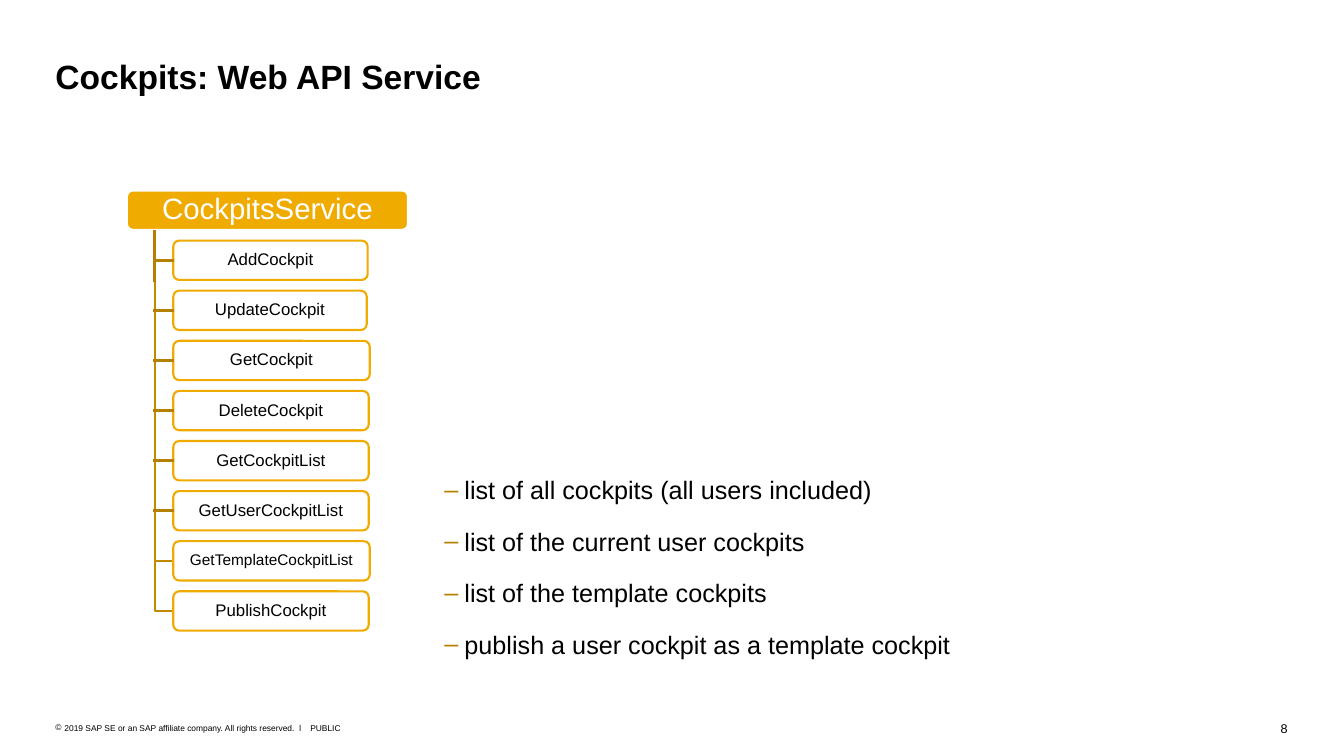
from dataclasses import dataclass

from lxml.etree import SubElement
from pptx import Presentation
from pptx.dml.color import RGBColor
from pptx.enum.shapes import MSO_CONNECTOR, MSO_SHAPE
from pptx.enum.text import MSO_ANCHOR, MSO_AUTO_SIZE, PP_ALIGN
from pptx.oxml.ns import qn
from pptx.slide import Slide
from pptx.text.text import TextFrame, _Paragraph
from pptx.util import Inches, Pt

COLORS = {"gold": "F0AB00", "dark gold": "B48000", "elbow": "C08900",
          "white": "FFFFFF", "black": "000000"}
FONT = "Arial"
WIDTH, HEIGHT = 13.34, 7.5
MARGIN = 0.55

# Tree grid: row 0 is the service, rows 1 to 8 its methods
TREE_TOP, ROW_STEP, BOX_HEIGHT = 1.89, 0.497, 0.39
SERVICE_LEFT, METHOD_LEFT, SPINE_LEFT = 1.26, 1.72, 1.54


@dataclass(frozen=True)
class TreeBox:
    label: str
    width: float
    size: float = 12
    left: float = METHOD_LEFT
    fill: str = "white"
    line: str = "gold"
    ink: str = "black"


@dataclass(frozen=True)
class Caption:
    text: str
    left: float
    top: float
    width: float
    height: float
    size: float
    align: PP_ALIGN = PP_ALIGN.LEFT
    wrap: bool = False
    bullet: str = ""


TREE = [
    TreeBox("CockpitsService", 2.79, 21, SERVICE_LEFT, "gold", "white", "white"),
    TreeBox("AddCockpit", 1.93),
    TreeBox("UpdateCockpit", 1.92),
    TreeBox("GetCockpit", 1.95),
    TreeBox("DeleteCockpit", 1.94),
    TreeBox("GetCockpitList", 1.94),
    TreeBox("GetUserCockpitList", 1.94),
    TreeBox("GetTemplateCockpitList", 1.95, 11),
    TreeBox("PublishCockpit", 1.94),
]
NOTES = [
    "list of all cockpits (all users included)",
    "list of the current user cockpits",
    "list of the template cockpits",
    "publish a user cockpit as a template cockpit",
]
FOOTER = [
    Caption("8", 12.63, 7.15, 0.15, 0.15, 9, PP_ALIGN.RIGHT),
    Caption("PUBLIC", 3.08, 7.17, 0.31, 0.1, 6),
    Caption("2019 SAP SE or an SAP affiliate company. All rights reserved.  ǀ",
            MARGIN, 7.17, 2.48, 0.1, 6, wrap=True, bullet="©"),
]


def rgb(name: str) -> RGBColor:
    return RGBColor.from_string(COLORS[name])


def row_top(row: int) -> float:
    return TREE_TOP + row * ROW_STEP


def row_middle(row: int) -> float:
    return row_top(row) + BOX_HEIGHT / 2


def set_insets(frame: TextFrame, across: float = 0, down: float = 0) -> None:
    frame.margin_left = frame.margin_right = Inches(across)
    frame.margin_top = frame.margin_bottom = Inches(down)


def add_span(para: _Paragraph, text: str, size: float, ink: str = "black",
             bold: bool = False) -> None:
    span = para.add_run()
    span.text = text
    span.font.name = FONT
    span.font.size = Pt(size)
    span.font.bold = bold
    span.font.color.rgb = rgb(ink)


def set_bullet(para: _Paragraph, mark: str, color: str, indent: float,
               hanging: float) -> None:
    props = para._p.get_or_add_pPr()
    props.set("marL", str(Inches(indent)))
    props.set("indent", str(-Inches(hanging)))
    bullet_color = SubElement(props, qn("a:buClr"))
    SubElement(bullet_color, qn("a:srgbClr")).set("val", COLORS[color])
    SubElement(props, qn("a:buFont")).set("typeface", FONT)
    SubElement(props, qn("a:buChar")).set("char", mark)


def add_frame(page: Slide, left: float, top: float, width: float,
              height: float, wrap: bool) -> TextFrame:
    box = page.shapes.add_textbox(*map(Inches, (left, top, width, height)))
    frame = box.text_frame
    frame.word_wrap = wrap
    set_insets(frame)
    return frame


def set_title(page: Slide, text: str) -> None:
    title = page.shapes.title
    title.left, title.top = Inches(MARGIN), Inches(MARGIN)
    title.width, title.height = Inches(WIDTH - 2 * MARGIN), Inches(0.4)
    frame = title.text_frame
    frame.auto_size = MSO_AUTO_SIZE.NONE
    frame.vertical_anchor = MSO_ANCHOR.TOP
    set_insets(frame)
    para = frame.paragraphs[0]
    para.alignment = PP_ALIGN.LEFT
    add_span(para, text, 24, bold=True)


def add_caption(page: Slide, item: Caption) -> None:
    frame = add_frame(page, item.left, item.top, item.width, item.height, item.wrap)
    para = frame.paragraphs[0]
    para.alignment = item.align
    if item.bullet:
        set_bullet(para, item.bullet, "black", 0.09, 0.09)
    add_span(para, item.text, item.size)


def add_notes(page: Slide) -> None:
    """List what the last four methods do, beside their boxes."""
    frame = add_frame(page, 4.22, 4.56, 5.62, 1.7, True)
    for index, note in enumerate(NOTES):
        para = frame.add_paragraph() if index else frame.paragraphs[0]
        set_bullet(para, "–", "dark gold", 0.39, 0.2)
        para.line_spacing = 1.5
        para.space_before = Pt(4.3 if index else 0)
        add_span(para, note, 18)


def add_tree_box(page: Slide, item: TreeBox, row: int) -> None:
    box = page.shapes.add_shape(
        MSO_SHAPE.ROUNDED_RECTANGLE, Inches(item.left), Inches(row_top(row)),
        Inches(item.width), Inches(BOX_HEIGHT))
    box.adjustments[0] = 0.15
    box.shadow.inherit = False
    box.fill.solid()
    box.fill.fore_color.rgb = rgb(item.fill)
    box.line.color.rgb = rgb(item.line)
    box.line.width = Pt(1.5)
    frame = box.text_frame
    frame.word_wrap = True
    frame.vertical_anchor = MSO_ANCHOR.MIDDLE
    set_insets(frame, 0.04, 0.03)
    para = frame.paragraphs[0]
    para.alignment = PP_ALIGN.CENTER
    para.line_spacing = 0.9
    add_span(para, item.label, item.size, item.ink)


def add_elbow(page: Slide, first_row: int, last_row: int) -> None:
    """Run down the spine and turn right into the last row's box."""
    left, right = Inches(SPINE_LEFT), Inches(METHOD_LEFT - 0.01)
    top, bottom = Inches(row_middle(first_row)), Inches(row_middle(last_row))
    builder = page.shapes.build_freeform(left, top)
    builder.add_line_segments([(left, bottom), (right, bottom)], close=False)
    elbow = builder.convert_to_shape()
    elbow.shadow.inherit = False
    elbow.fill.background()
    elbow.line.color.rgb = rgb("elbow")
    elbow.line.width = Pt(1.5)


def add_line(page: Slide, x1: float, y1: float, x2: float, y2: float) -> None:
    line = page.shapes.add_connector(
        MSO_CONNECTOR.STRAIGHT, *map(Inches, (x1, y1, x2, y2)))
    line.line.color.rgb = rgb("dark gold")
    line.line.width = Pt(2)
    SubElement(line._element.spPr, qn("a:effectLst"))


def main() -> None:
    deck = Presentation()
    deck.slide_width, deck.slide_height = Inches(WIDTH), Inches(HEIGHT)
    page = deck.slides.add_slide(deck.slide_layouts[5])
    set_title(page, "Cockpits: Web API Service")
    for item in FOOTER:
        add_caption(page, item)
    add_notes(page)
    for row, item in enumerate(TREE):
        add_tree_box(page, item, row)
    for first_row, last_row in ((1, 7), (2, 8)):
        add_elbow(page, first_row, last_row)
    add_line(page, 1.53, row_top(0) + BOX_HEIGHT, 1.53, 2.8)
    for row in range(1, 7):
        add_line(page, 1.52, row_middle(row), 1.73, row_middle(row))
    deck.save("out.pptx")


if __name__ == "__main__":
    main()
